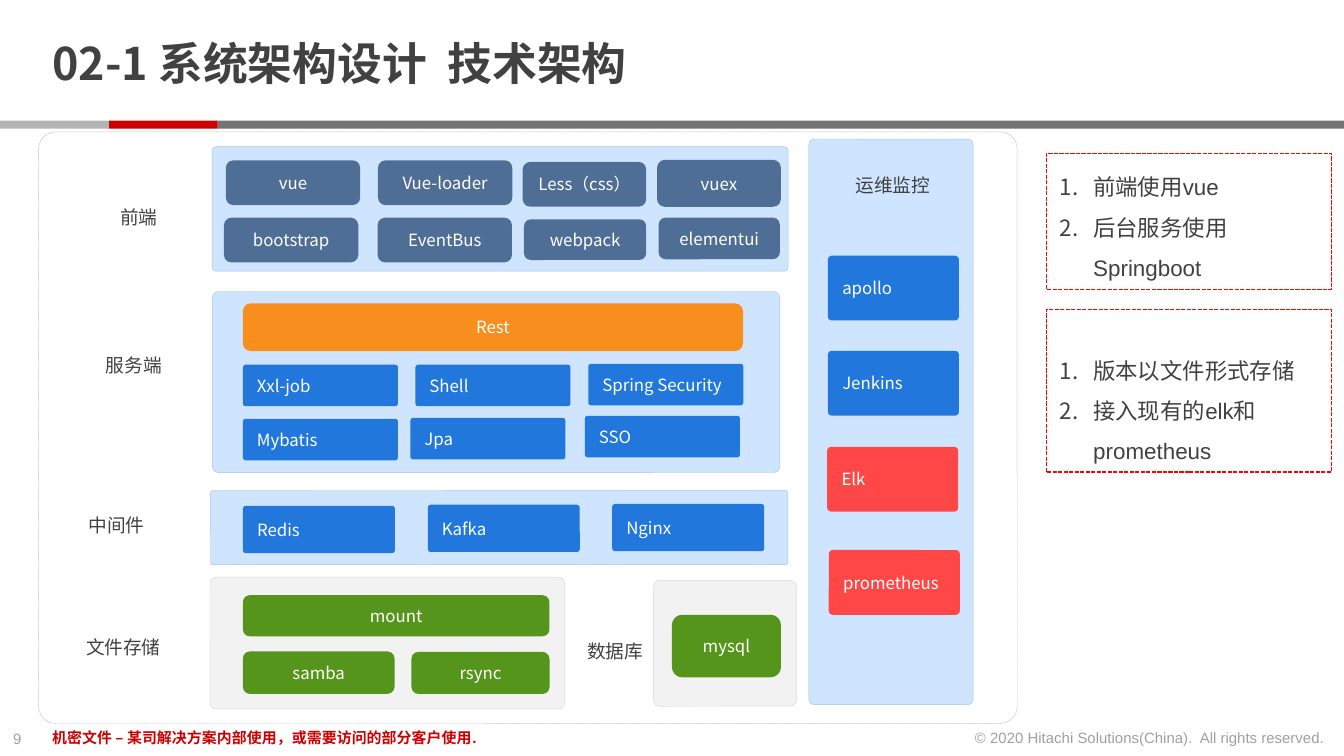
import pptx
import pptx.dml.color
import pptx.enum.dml
import pptx.enum.shapes
import pptx.enum.text
import pptx.oxml.ns
import pptx.util
from lxml import etree

Pt = pptx.util.Pt
RGBColor = pptx.dml.color.RGBColor
qn = pptx.oxml.ns.qn
SHAPE = pptx.enum.shapes.MSO_SHAPE
DASH = pptx.enum.dml.MSO_LINE
ALIGN = pptx.enum.text.PP_ALIGN
ANCHOR = pptx.enum.text.MSO_ANCHOR

INK = RGBColor(0x41, 0x41, 0x41)
WHITE = RGBColor(0xFF, 0xFF, 0xFF)
BRAND_RED = RGBColor(0xCC, 0x00, 0x00)
NOTE_RED = RGBColor(0xFF, 0x00, 0x00)
DARK_GRAY = RGBColor(0x73, 0x73, 0x73)
LIGHT_GRAY = RGBColor(0xB3, 0xB3, 0xB3)
PANEL_BLUE = RGBColor(0xB3, 0xD7, 0xFF)
PANEL_EDGE = RGBColor(0xA3, 0xC4, 0xEA)
STORE_GRAY = RGBColor(0xF2, 0xF2, 0xF2)
STORE_EDGE = RGBColor(0xD9, 0xD9, 0xD9)
SLATE = RGBColor(0x4F, 0x6E, 0x95)
BLUE = RGBColor(0x21, 0x77, 0xDC)
ORANGE = RGBColor(0xF7, 0x8E, 0x1E)
GREEN = RGBColor(0x55, 0x95, 0x1B)
CORAL = RGBColor(0xFF, 0x47, 0x47)

LATIN = "Arial"
CJK = "Noto Sans CJK SC"


def set_alpha(element, percent):
    """Make the first colour inside element partly transparent."""
    color = next(element.iter(qn("a:srgbClr")))
    etree.SubElement(color, qn("a:alpha")).set("val", str(percent * 1000))


def number_paragraph(paragraph):
    """Give the paragraph an automatic number with a hanging indent."""
    properties = paragraph._p.get_or_add_pPr()
    properties.set("marL", str(Pt(18)))
    properties.set("indent", str(-Pt(18)))
    etree.SubElement(properties, qn("a:buFont")).set("typeface", CJK)
    etree.SubElement(properties, qn("a:buAutoNum")).set("type", "arabicPeriod")


def write(frame, *lines, size=9, font=CJK, color=INK, alpha=None, bold=False,
          align=ALIGN.LEFT, anchor=ANCHOR.TOP, spacing=None, numbered=False,
          wrap=True, top=3.6, bottom=3.6):
    frame.word_wrap = wrap
    frame.vertical_anchor = anchor
    frame.margin_left = frame.margin_right = Pt(7.2)
    frame.margin_top, frame.margin_bottom = Pt(top), Pt(bottom)
    for index, line in enumerate(lines):
        paragraph = frame.add_paragraph() if index else frame.paragraphs[0]
        paragraph.alignment = align
        if spacing:
            paragraph.line_spacing = spacing
        if numbered:
            number_paragraph(paragraph)
        run = paragraph.add_run()
        run.text = line
        run.font.size, run.font.bold, run.font.name = Pt(size), bold, font
        run.font.color.rgb = color
        properties = run._r.get_or_add_rPr()
        if alpha:
            set_alpha(properties, alpha)
        latin = properties.find(qn("a:latin"))
        east_asian = etree.Element(qn("a:ea"))
        east_asian.set("typeface", CJK)
        latin.addnext(east_asian)


class ArchitectureSlide:
    def __init__(self, deck):
        self.shapes = deck.slides.add_slide(deck.slide_layouts[6]).shapes

    def block(self, box, fill=None, edge=None, weight=0.25, dash=None,
              alpha=None, radius=None):
        """Draw a rectangle, rounded when a radius is given."""
        kind = SHAPE.RECTANGLE if radius is None else SHAPE.ROUNDED_RECTANGLE
        shape = self.shapes.add_shape(kind, *map(Pt, box))
        shape.shadow.inherit = False
        if radius is not None:
            shape.adjustments[0] = radius
        if fill is None:
            shape.fill.background()
        else:
            shape.fill.solid()
            shape.fill.fore_color.rgb = fill
        if alpha:
            set_alpha(shape._element.spPr, alpha)
        if edge is None:
            shape.line.fill.background()
        else:
            shape.line.color.rgb = edge
            shape.line.width = Pt(weight)
            if dash:
                shape.line.dash_style = dash
        return shape

    def panel(self, box):
        self.block(box, PANEL_BLUE, PANEL_EDGE, alpha=63, radius=0.034)

    def store(self, box):
        self.block(box, STORE_GRAY, STORE_EDGE, radius=0.048)

    def tile(self, name, box, fill, align=ALIGN.CENTER, radius=0.167):
        shape = self.block(box, fill, radius=radius)
        write(shape.text_frame, name, color=WHITE, align=align,
              anchor=ANCHOR.MIDDLE)

    def component(self, name, box, fill=BLUE):
        self.tile(name, box, fill, ALIGN.LEFT, 0.062)

    def text(self, words, box, **style):
        write(self.shapes.add_textbox(*map(Pt, box)).text_frame, words, **style)

    def note(self, lines, box, top):
        shape = self.block(box, WHITE, NOTE_RED, 0.75, DASH.SQUARE_DOT)
        write(shape.text_frame, *lines, size=12, font=LATIN, spacing=1.5,
              numbered=True, top=top)


def main():
    deck = pptx.Presentation()
    deck.slide_width, deck.slide_height = Pt(720), Pt(405)
    slide = ArchitectureSlide(deck)

    for left, width, color in ((116.6, 603.4, DARK_GRAY), (58.3, 58.3, BRAND_RED),
                               (0, 58.3, LIGHT_GRAY)):
        slide.block((left, 64.6, width, 4.4), color)
    slide.text("02-1 系统架构设计  技术架构", (20.9, 9.4, 555, 52.6), size=24,
               bold=True, anchor=ANCHOR.MIDDLE, spacing=0.85, top=0, bottom=0)

    slide.block((20.7, 70.6, 524.3, 317), edge=LIGHT_GRAY, dash=DASH.ROUND_DOT,
                radius=0.029)
    for box in ((113.6, 78.6, 308.7, 66.7), (113.8, 156.2, 304, 97),
                (112.8, 262.8, 309.3, 39.7), (433.4, 74.5, 88, 303)):
        slide.panel(box)
    for box in ((112.5, 309.2, 190, 70.6), (350.1, 311, 76.6, 67.4)):
        slide.store(box)

    for words, left, top, width in (
            ("前端", 57.4, 106.5, 34.6), ("服务端", 49.7, 185.8, 44.6),
            ("中间件", 40.3, 271.8, 44.6), ("文件存储", 39, 337.3, 56.2),
            ("数据库", 307.4, 339.4, 44.6), ("运维监控", 451.4, 89.8, 54.7)):
        slide.text(words, (left, top, width, 19.4), size=10, font=LATIN, wrap=False)

    for name, *box in (
            ("vue", 121, 85.9, 72, 24), ("Vue-loader", 202.5, 85.9, 72, 24),
            ("Less（css）", 280, 86.7, 66.2, 24), ("vuex", 352, 85.6, 66.4, 25.2),
            ("bootstrap", 120, 116.6, 72, 24), ("EventBus", 202.3, 116.6, 72, 24),
            ("webpack", 280.7, 117.5, 65.5, 21.8),
            ("elementui", 352.8, 116.6, 65, 22.3)):
        slide.tile(name, box, SLATE)

    slide.tile("Rest", (130.1, 162.5, 268, 25.6), ORANGE)
    for name, left, top in (
            ("Xxl-job", 130.2, 195.4), ("Shell", 222.6, 195.4),
            ("Spring Security", 315.2, 194.9), ("Mybatis", 130.2, 224.4),
            ("Jpa", 219.9, 223.9), ("SSO", 313.4, 222.8)):
        slide.component(name, (left, top, 83, 22.2))
    for name, left, top in (("Redis", 130.2, 271), ("Kafka", 229.2, 270.4),
                            ("Nginx", 328, 270)):
        slide.component(name, (left, top, 81.4, 25.3))
    for name, left, top, fill in (
            ("apollo", 443.5, 137, BLUE), ("Jenkins", 443.5, 188, BLUE),
            ("Elk", 443.1, 239.4, CORAL), ("prometheus", 444, 294.7, CORAL)):
        slide.component(name, (left, top, 70.2, 34.7), fill)

    for name, *box in (
            ("mount", 130.1, 318.9, 164.2, 22), ("samba", 130.1, 349, 81.3, 22.8),
            ("rsync", 220.4, 349.2, 74, 22.6), ("mysql", 360, 329.4, 58.4, 33.5)):
        slide.tile(name, box, GREEN)

    slide.note(("前端使用vue", "后台服务使用Springboot"),
               (560.6, 82.2, 152.8, 72.9), top=3.6)
    slide.note(("版本以文件形式存储", "接入现有的elk和prometheus"),
               (560.6, 165.8, 152.8, 87.2), top=18.2)

    slide.text("9", (0, 387.2, 24.5, 17), size=8, font=LATIN, alpha=50, wrap=False)
    slide.text("机密文件 – 某司解决方案内部使用，或需要访问的部分客户使用.",
               (20.9, 386.8, 485.3, 17), size=8, font=LATIN, color=BRAND_RED, bold=True)
    slide.text("© 2020 Hitachi Solutions(China).\u00a0 All rights reserved.".replace("\u00a0", " "),
               (512.6, 386.8, 204.2, 17), size=8, font=LATIN, alpha=50,
               align=ALIGN.RIGHT, wrap=False)
    deck.save("out.pptx")


if __name__ == "__main__":
    main()
